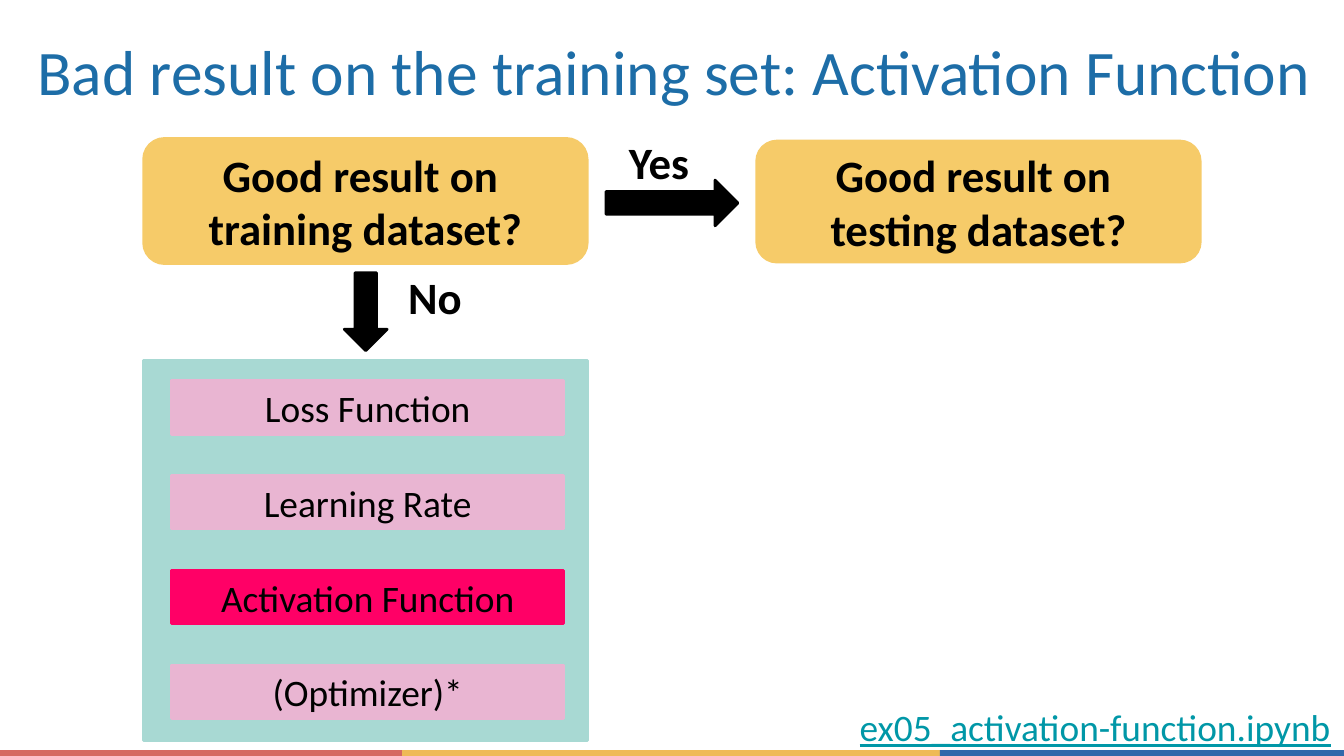
from pptx import Presentation
from pptx.dml.color import RGBColor
from pptx.enum.shapes import MSO_SHAPE
from pptx.enum.text import MSO_ANCHOR, PP_ALIGN
from pptx.util import Pt

COLORS = {
    "title": "1D6DA7", "text": "000000", "link": "0097A7",
    "decision": "F6CB69", "arrow": "000000", "panel": "A8D9D3",
    "cause": "E9B5D2", "current": "FF0066",
    "red": "D66962", "yellow": "EFBA57", "blue": "3068AA",
}
FONT = "Calibri"

# Places are left, top, width, height in points.
FOOTER_BANDS = [("red", 0, 216.5), ("yellow", 215.5, 288.5), ("blue", 503.5, 216.5)]
DECISIONS = [
    ("Good result on \vtraining dataset?", (77, 74.2, 237.6, 67)),
    ("Good result on \vtesting dataset?", (405.4, 75.6, 237.6, 64.8)),
]
ARROWS = [((175, 155.5, 41.8, 23), 90), ((324.7, 96.5, 70.6, 24.5), 0)]
BRANCHES = [
    ("No", (207.4, 146.9, 51.1, 24.5), PP_ALIGN.CENTER),
    ("Yes", (329.8, 74.2, 51.1, 24.5), PP_ALIGN.LEFT),
]
PANEL = (77, 193, 237.6, 203.8)
CAUSES = ["Loss Function", "Learning Rate", "Activation Function", "(Optimizer)*"]
CURRENT_CAUSE = "Activation Function"
CAUSE_LEFT, CAUSE_TOP, CAUSE_WIDTH, CAUSE_HEIGHT = 91.9, 203.9, 210.2, 28.8
CAUSE_PITCH = 50.8

deck = Presentation()
deck.slide_width, deck.slide_height = Pt(720), Pt(405)
page = deck.slides.add_slide(deck.slide_layouts[6])


def color(name):
    return RGBColor.from_string(COLORS[name])


def write(box, text, size=24, bold=False, underline=False, ink="text",
          align=PP_ALIGN.CENTER, anchor=MSO_ANCHOR.MIDDLE, inset=3.6):
    """Put text in a shape; inset is the top and bottom margin."""
    frame = box.text_frame
    frame.word_wrap = True
    frame.vertical_anchor = anchor
    frame.margin_left = frame.margin_right = Pt(7.2)
    frame.margin_top = frame.margin_bottom = Pt(inset)
    frame.text = text
    para = frame.paragraphs[0]
    para.alignment = align
    for span in para.runs:
        font = span.font
        font.name, font.size = FONT, Pt(size)
        font.bold, font.underline = bold, underline
        font.color.rgb = color(ink)


def add_text(place, text, **style):
    write(page.shapes.add_textbox(*map(Pt, place)), text, **style)


def add_block(kind, place, fill, outlined=True):
    block = page.shapes.add_shape(kind, *map(Pt, place))
    block.shadow.inherit = False
    block.fill.solid()
    block.fill.fore_color.rgb = color(fill)
    if outlined:
        block.line.color.rgb = color(fill)
        block.line.width = Pt(1.5)
    else:
        block.line.fill.background()
    return block


for name, left, width in FOOTER_BANDS:
    add_block(MSO_SHAPE.RECTANGLE, (left, 401.8, width, 3.2), name, outlined=False)

add_text((13, 14.4, 707, 46), "Bad result on the training set: Activation Function",
         size=34, ink="title", align=PP_ALIGN.LEFT, inset=7.2)

for question, place in DECISIONS:
    decision = add_block(MSO_SHAPE.ROUNDED_RECTANGLE, place, "decision")
    write(decision, question, bold=True)

for place, angle in ARROWS:
    add_block(MSO_SHAPE.RIGHT_ARROW, place, "arrow").rotation = angle

for answer, place, align in BRANCHES:
    add_text(place, answer, bold=True, align=align)

add_block(MSO_SHAPE.RECTANGLE, PANEL, "panel")
for row, cause in enumerate(CAUSES):
    place = (CAUSE_LEFT, CAUSE_TOP + row * CAUSE_PITCH, CAUSE_WIDTH, CAUSE_HEIGHT)
    fill = "current" if cause == CURRENT_CAUSE else "cause"
    write(add_block(MSO_SHAPE.RECTANGLE, place, fill), cause, size=20)

add_text((446.4, 370.1, 273.6, 32.4), "ex05_activation-function.ipynb", size=20,
         underline=True, ink="link", align=PP_ALIGN.RIGHT,
         anchor=MSO_ANCHOR.TOP, inset=7.2)

deck.save("out.pptx")
